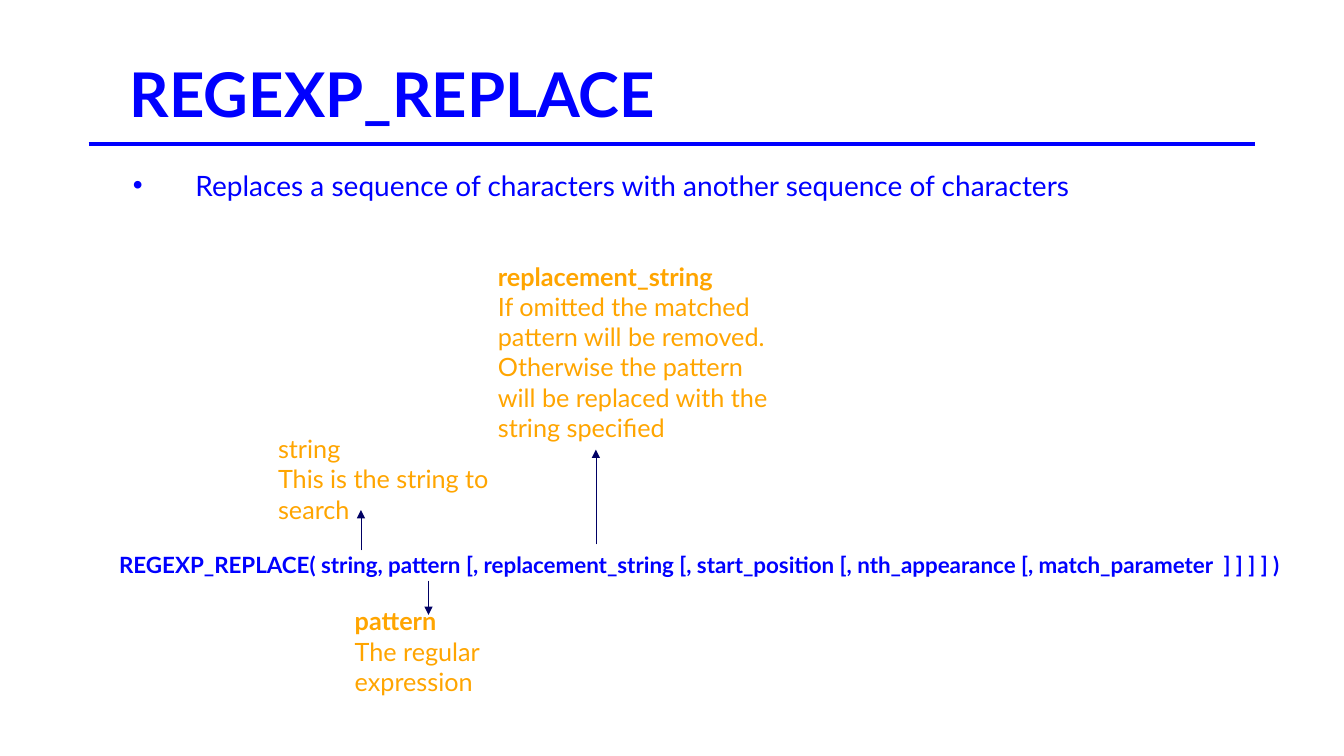
from dataclasses import dataclass

from lxml.etree import SubElement
from pptx import Presentation
from pptx.dml.color import RGBColor
from pptx.enum.shapes import MSO_CONNECTOR, MSO_SHAPE
from pptx.enum.text import MSO_ANCHOR, MSO_AUTO_SIZE, PP_ALIGN
from pptx.oxml.ns import qn
from pptx.slide import Slide
from pptx.text.text import TextFrame
from pptx.util import Inches, Pt

COLORS = {"blue": "0000FF", "orange": "FFA500", "navy": "000064", "white": "FFFFFF"}
FONT = "Lato"


@dataclass
class Band:
    """White rectangle with one line of blue text."""
    text: str
    box: tuple[float, float, float, float]
    size: int
    bold: bool = True
    align: PP_ALIGN = PP_ALIGN.LEFT
    bullet: bool = False


@dataclass
class Note:
    """Orange term with its meaning, and the arrow that leads to it."""
    term: str
    lines: list[str]
    box: tuple[float, float, float, float]
    arrow: tuple[float, float, float]  # x, start y, end y
    bold: bool = True


BANDS = [
    Band("REGEXP_REPLACE", (1.19, 0.51, 11.57, 0.77), 44),
    Band("Replaces a sequence of characters with another sequence of characters",
         (1.22, 1.62, 10.89, 0.7), 20, bold=False, bullet=True),
    Band("REGEXP_REPLACE( string, pattern [, replacement_string [, start_position "
         "[, nth_appearance [, match_parameter  ] ] ] ] )",
         (0.88, 5.42, 12.12, 0.59), 16, align=PP_ALIGN.CENTER),
]

NOTES = [
    Note("pattern", ["The regular expression"], (3.42, 5.96, 2, 1.01), (4.25, 5.76, 6.1)),
    Note("string", ["This is the string to search"], (2.66, 4.25, 2.35, 1.01),
         (3.58, 5.46, 5.06), bold=False),
    Note("replacement_string",
         ["If omitted the matched pattern will be removed.",
          "Otherwise the pattern will be replaced with the string specified"],
         (4.84, 2.54, 2.97, 1.92), (5.91, 5.4, 4.46)),
]


def rgb(name: str) -> RGBColor:
    return RGBColor.from_string(COLORS[name])


def write(frame: TextFrame, text: str, *, size: int, color: str, bold: bool = False,
          align: PP_ALIGN = PP_ALIGN.LEFT, bullet: bool = False, more: bool = False) -> None:
    para = frame.add_paragraph() if more else frame.paragraphs[0]
    para.alignment = align
    if bullet:
        props = para._p.get_or_add_pPr()
        props.set("marL", str(Inches(0.62)))
        props.set("indent", str(Inches(-0.62)))
        SubElement(props, qn("a:buFont"), typeface="Arial")
        SubElement(props, qn("a:buChar"), char="•")
    run = para.add_run()
    run.text = text
    font = run.font
    font.name, font.size, font.bold = FONT, Pt(size), bold
    font.color.rgb = rgb(color)


def line(slide: Slide, start: tuple[float, float], end: tuple[float, float],
         color: str, width: float, head: bool = False) -> None:
    link = slide.shapes.add_connector(
        MSO_CONNECTOR.STRAIGHT, *(Inches(v) for v in (*start, *end)))
    link.line.color.rgb = rgb(color)
    link.line.width = Pt(width)
    if head:
        SubElement(link.line._get_or_add_ln(), qn("a:tailEnd"), type="triangle")
    SubElement(link._element.spPr, qn("a:effectLst"))


def draw_band(slide: Slide, band: Band) -> None:
    shape = slide.shapes.add_shape(MSO_SHAPE.RECTANGLE, *(Inches(v) for v in band.box))
    shape.shadow.inherit = False
    shape.fill.solid()
    shape.fill.fore_color.rgb = rgb("white")
    shape.line.fill.background()
    frame = shape.text_frame
    frame.word_wrap = True
    frame.vertical_anchor = MSO_ANCHOR.TOP
    write(frame, band.text, size=band.size, color="blue", bold=band.bold,
          align=band.align, bullet=band.bullet)


def draw_note(slide: Slide, note: Note) -> None:
    frame = slide.shapes.add_textbox(*(Inches(v) for v in note.box)).text_frame
    frame.word_wrap = True
    frame.auto_size = MSO_AUTO_SIZE.SHAPE_TO_FIT_TEXT
    write(frame, note.term, size=18, color="orange", bold=note.bold)
    for text in note.lines:
        write(frame, text, size=18, color="orange", more=True)
    x, start, end = note.arrow
    line(slide, (x, start), (x, end), "navy", 0.5, head=True)


def main() -> None:
    deck = Presentation()
    deck.slide_width, deck.slide_height = Inches(13.33), Inches(7.5)
    slide = deck.slides.add_slide(deck.slide_layouts[6])

    # Title, summary and syntax
    for band in BANDS:
        draw_band(slide, band)

    # Rule under the title
    line(slide, (0.88, 1.43), (12.45, 1.43), "blue", 3)

    # Parameter notes
    for note in NOTES:
        draw_note(slide, note)

    deck.save("out.pptx")


if __name__ == "__main__":
    main()
